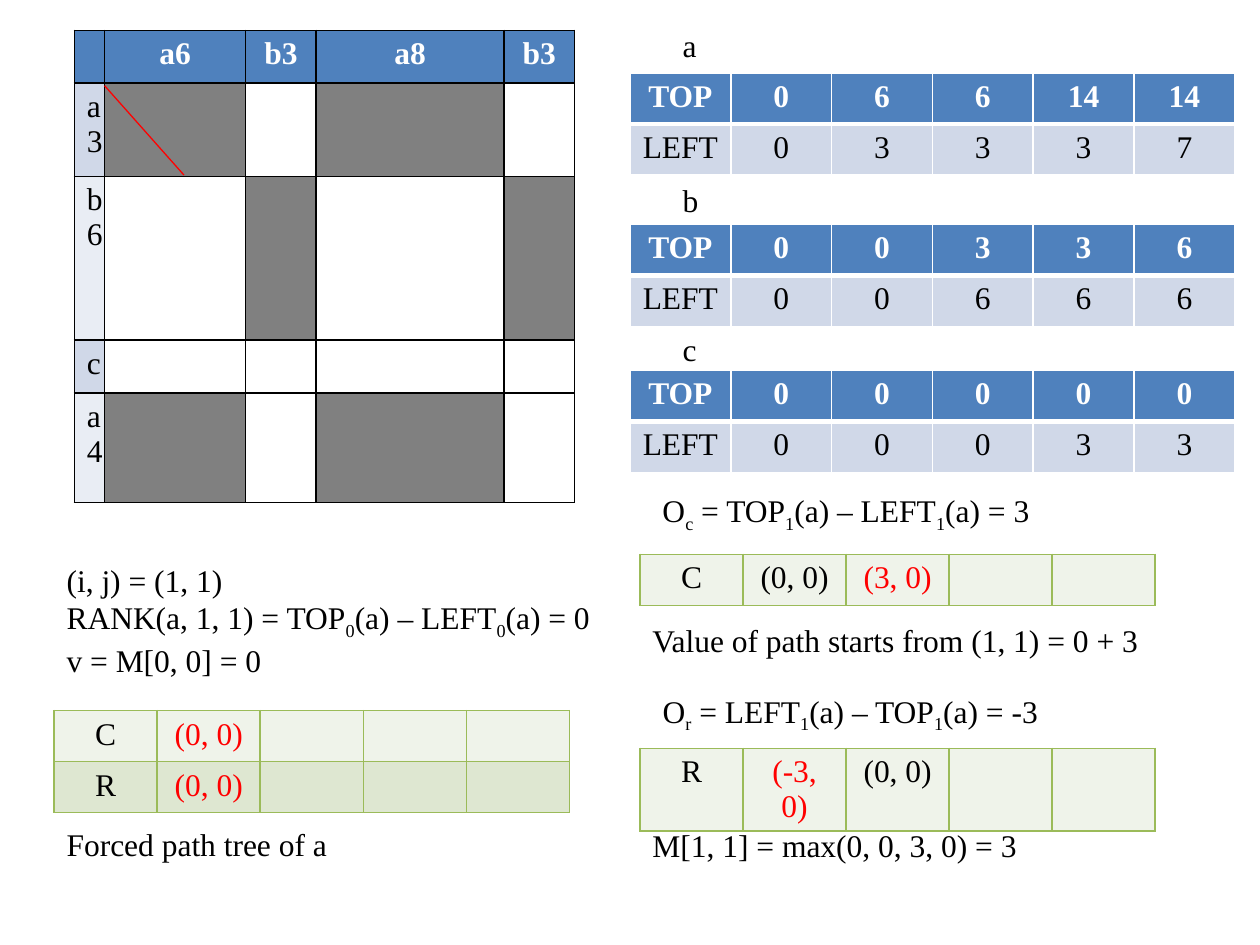
"""Build the slide on forced paths through a run-length encoded alignment grid."""
import lxml.etree
import pptx
import pptx.dml.color
import pptx.enum.shapes
import pptx.enum.text
import pptx.oxml.ns
import pptx.util

RGBColor = pptx.dml.color.RGBColor
BLACK = RGBColor(0x00, 0x00, 0x00)
WHITE = RGBColor(0xFF, 0xFF, 0xFF)
RED = RGBColor(0xFF, 0x00, 0x00)
GREY = RGBColor(0x80, 0x80, 0x80)
BLUE = RGBColor(0x4F, 0x81, 0xBD)
BLUE_BAND = RGBColor(0xD0, 0xD8, 0xE8)
BLUE_PALE = RGBColor(0xE9, 0xED, 0xF4)
GREEN = RGBColor(0x9B, 0xBB, 0x59)
GREEN_BAND = RGBColor(0xDE, 0xE7, 0xD1)
GREEN_PALE = RGBColor(0xEF, 0xF3, 0xEA)

deck = pptx.Presentation()
deck.slide_width = pptx.util.Inches(10)
deck.slide_height = pptx.util.Inches(7.5)
COLUMN = deck.slide_width / 100
ROW = deck.slide_height / 100
page = deck.slides.add_slide(deck.slide_layouts[6])


def write(para, text, color=BLACK, bold=False):
    """Fill a paragraph; the character after each underscore is a subscript."""
    para.font.name = "Times New Roman"
    para.font.size = pptx.util.Pt(18)
    first, *rest = text.split("_")
    pieces = [(first, False)]
    for part in rest:
        pieces += [(part[:1], True), (part[1:], False)]
    for piece, lowered in pieces:
        if piece:
            span = para.add_run()
            span.text = piece
            span.font.color.rgb = color
            span.font.bold = bold
            if lowered:
                span._r.get_or_add_rPr().set("baseline", "-25000")


def add_grid(left, top, widths, heights, texts, fills, edge, header=False, rule=1, reds=()):
    """Add a table with one fill per row and a rule of its own under the header."""
    frame = page.shapes.add_table(
        len(heights), len(widths), int(left * COLUMN), int(top * ROW),
        int(sum(widths) * COLUMN), int(sum(heights) * ROW))
    table = frame.table
    table.first_row = table.horz_banding = False
    for column, width in zip(table.columns, widths):
        column.width = int(width * COLUMN)
    for r, height in enumerate(heights):
        table.rows[r].height = int(height * ROW)
        for c in range(len(widths)):
            cell = table.cell(r, c)
            titled = header and r == 0
            color = RED if (r, c) in reds else WHITE if titled else BLACK
            para = cell.text_frame.paragraphs[0]
            para.alignment = pptx.enum.text.PP_ALIGN.CENTER
            write(para, texts[r][c] if c < len(texts[r]) else "", color, titled)
            cell.fill.solid()
            cell.fill.fore_color.rgb = fills[r]
            thick = {"lnB"} if titled else {"lnT"} if header and r == 1 else set()
            for place, side in enumerate(("lnL", "lnR", "lnT", "lnB")):
                points = rule if side in thick else 1
                line = lxml.etree.Element(pptx.oxml.ns.qn("a:" + side), w=str(pptx.util.Pt(points)))
                paint = lxml.etree.SubElement(line, pptx.oxml.ns.qn("a:solidFill"))
                lxml.etree.SubElement(paint, pptx.oxml.ns.qn("a:srgbClr"), val=str(edge))
                cell._tc.get_or_add_tcPr().insert(place, line)
    return table


tops = ["", "a6", "b3", "a8", "b3"]
sides = ["a3", "b6", "c", "a4"]
alignment = add_grid(
    5.9, 3.2, [2.4, 11.2, 5.6, 14.9, 5.6], [5.6, 9.87, 17.33, 5.6, 11.6],
    [tops] + [[side] for side in sides],
    [BLUE, BLUE_BAND, BLUE_PALE, BLUE_BAND, BLUE_PALE], BLACK, header=True)
for r, side in enumerate(sides, 1):
    for c, top in enumerate(tops[1:], 1):
        alignment.cell(r, c).fill.fore_color.rgb = GREY if side[0] == top[0] else WHITE

for top, top_values, left_values in (
        (7.73, "0 6 6 14 14", "0 3 3 3 7"),
        (23.73, "0 0 3 3 6", "0 0 6 6 6"),
        (39.2, "0 0 0 0 0", "0 0 0 3 3")):
    add_grid(50, top, [8] * 6, [5.4] * 2,
             [["TOP"] + top_values.split(), ["LEFT"] + left_values.split()],
             [BLUE, BLUE_BAND], WHITE, header=True, rule=3)

for left, top, texts, reds in (
        (4.3, 75.2, [["C", "(0, 0)"], ["R", "(0, 0)"]], {(0, 1), (1, 1)}),
        (50.8, 58.67, [["C", "(0, 0)", "(3, 0)"]], {(0, 2)}),
        (50.8, 79.2, [["R", "(-3, 0)", "(0, 0)"]], {(0, 1)})):
    add_grid(left, top, [8.18] * 5, [5.4] * len(texts), texts,
             [GREEN_PALE, GREEN_BAND], GREEN, reds=reds)

for left, top, width, height, lines in (
        (53.2, 2.13, 3.2, 5.33, ["a"]),
        (53.2, 18.53, 3.4, 5.33, ["b"]),
        (53.2, 34.27, 3.1, 5.33, ["c"]),
        (4.3, 58.67, 44.2, 13.47,
         ["(i, j) = (1, 1)", "RANK(a, 1, 1) = TOP_0(a) – LEFT_0(a) = 0", "v = M[0, 0] = 0"]),
        (51.6, 51.33, 31.7, 9.47, ["O_c = TOP_1(a) – LEFT_1(a) = 3"]),
        (50.8, 65.07, 42.3, 5.33, ["Value of path starts from (1, 1) = 0 + 3"]),
        (51.6, 72.53, 36.2, 9.47, ["O_r = LEFT_1(a) – TOP_1(a) = -3"]),
        (50.8, 86.8, 31.2, 5.33, ["M[1, 1] = max(0, 0, 3, 0) = 3"]),
        (4.3, 86.67, 22.9, 5.33, ["Forced path tree of a"])):
    box = page.shapes.add_textbox(
        int(left * COLUMN), int(top * ROW), int(width * COLUMN), int(height * ROW))
    box.text_frame.word_wrap = False
    box.text_frame.auto_size = pptx.enum.text.MSO_AUTO_SIZE.SHAPE_TO_FIT_TEXT
    for number, text in enumerate(lines):
        write(box.text_frame.add_paragraph() if number else box.text_frame.paragraphs[0], text)

path_line = page.shapes.add_connector(
    pptx.enum.shapes.MSO_CONNECTOR.STRAIGHT,
    int(8.3 * COLUMN), int(9.07 * ROW), int(14.6 * COLUMN), int(18.53 * ROW))
path_line.line.color.rgb = RED
path_line.line.width = pptx.util.Pt(0.75)
lxml.etree.SubElement(path_line._element.spPr, pptx.oxml.ns.qn("a:effectLst"))

deck.save("out.pptx")
